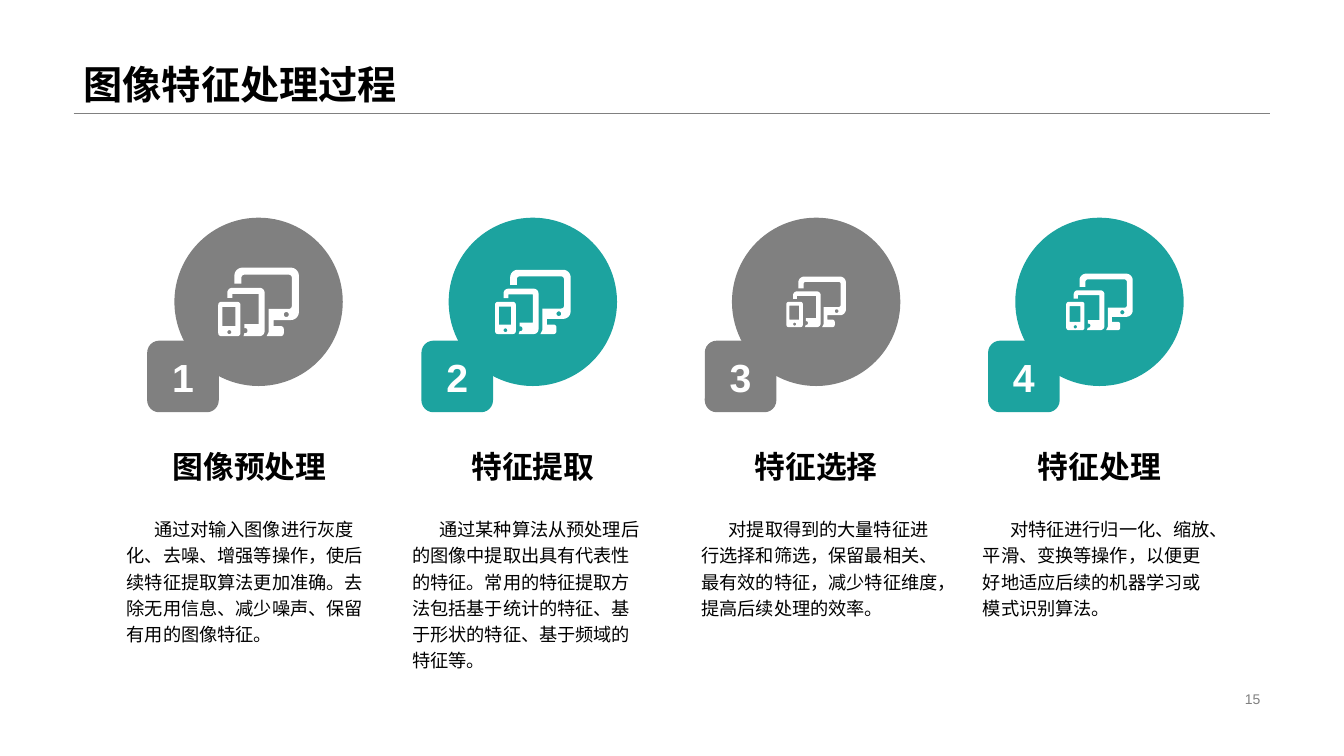
from math import cos, pi, sin

from pptx import Presentation
from pptx.dml.color import RGBColor
from pptx.enum.shapes import MSO_CONNECTOR, MSO_SHAPE
from pptx.enum.text import MSO_ANCHOR, MSO_AUTO_SIZE, PP_ALIGN
from pptx.oxml.ns import qn
from pptx.util import Inches, Pt

OVAL, ROUND = MSO_SHAPE.OVAL, MSO_SHAPE.ROUNDED_RECTANGLE
LINE = MSO_CONNECTOR.STRAIGHT
TOP, MID, LOW = MSO_ANCHOR.TOP, MSO_ANCHOR.MIDDLE, MSO_ANCHOR.BOTTOM
LEFT, MIDDLE, RIGHT = PP_ALIGN.LEFT, PP_ALIGN.CENTER, PP_ALIGN.RIGHT
FIXED = MSO_AUTO_SIZE.NONE

HUES = {"gray": "808080", "teal": "1CA39F", "white": "FFFFFF", "black": "000000"}

# Text formats
TITLE = {"size": 28, "bold": True, "hue": "black", "align": LEFT, "anchor": LOW, "space": 0.9}
HEAD = {"size": 22, "bold": True, "hue": "black", "align": MIDDLE, "anchor": MID, "space": 1}
BODY = {"size": 13, "bold": False, "hue": "black", "align": LEFT, "anchor": TOP, "space": 1.2}
MARK = {"size": 28, "bold": True, "hue": "white", "align": MIDDLE, "anchor": MID, "space": 1}
PAGE = {"size": 10, "bold": False, "hue": "gray", "align": RIGHT, "anchor": MID, "space": 1}

# Grid in inches
SIDE, SPAN, RULE = 0.73, 11.87, 1.12
START, PITCH, COL = 1.23, 2.81, 2.49
DISC, DISC_TOP = 1.67, 2.16
BADGE, BADGE_TOP, BADGE_IN = 0.71, 3.38, 0.27
HEAD_TOP, BODY_TOP, INDENT = 4.41, 5.05, 0.27

# Each step: heading, body, hue, disc shift, icon width, body left, width, height
STEPS = [
    ("图像预处理",
     "通过对输入图像进行灰度化、去噪、增强等操作，使后续特征提取算法更加准确。"
     "去除无用信息、减少噪声、保留有用的图像特征。",
     "gray", 0.5, 0.8, 1.16, 2.56, 1.7),
    ("特征提取",
     "通过某种算法从预处理后的图像中提取出具有代表性的特征。"
     "常用的特征提取方法包括基于统计的特征、基于形状的特征、基于频域的特征等。",
     "teal", 0.41, 0.75, 3.99, COL, 0.83),
    ("特征选择",
     "对提取得到的大量特征进行选择和筛选，保留最相关、最有效的特征，"
     "减少特征维度，提高后续处理的效率。",
     "gray", 0.41, 0.59, 6.86, 2.56, 0.83),
    ("特征处理",
     "对特征进行归一化、缩放、平滑、变换等操作，"
     "以便更好地适应后续的机器学习或模式识别算法。",
     "teal", 0.41, 0.66, 9.65, COL, 0.83),
]


def block(x, y, w, h, r=0):
    return [(x, y, r), (x + w, y, r), (x + w, y + h, r), (x, y + h, r)]


# Icon outlines on an 80 by 68 grid: x, y, corner radius
ICON_W, ICON_H, FINE = 80, 68, 100
ICON = [
    # Phone: case, screen, button
    block(0, 34, 22, 34, 3),
    block(4, 39, 13, 19),
    block(9, 62, 4, 4, 2),
    # Tablet, with its button as a notch
    [(9, 20, 5), (46, 20, 5), (46, 68, 5), (25, 68, 0), (26, 65, 0),
     (29, 65, 2), (29, 60, 2), (26, 60, 0), (26, 56, 0), (40, 56, 0),
     (40, 26, 0), (14, 26, 0), (14, 30, 0), (9, 30, 0)],
    # Monitor with stand, and its button
    [(16, 0, 8), (80, 0, 8), (80, 52, 8), (55, 52, 0), (55, 58, 0),
     (65, 58, 3), (65, 68, 3), (48, 68, 0), (50, 64, 0), (50, 41, 0),
     (73, 41, 3), (73, 7, 3), (23, 7, 3), (23, 16, 0), (16, 16, 0)],
    block(65, 44, 5, 5, 2.5),
]


def color(hue):
    return RGBColor.from_string(HUES[hue])


def box(x, y, w, h):
    return [Inches(v) for v in (x, y, w, h)]


def write(shape, text, form, indent=0):
    frame = shape.text_frame
    para = frame.paragraphs[0]
    run = para.add_run()
    run.text = text
    jobs = {
        frame: {"word_wrap": True, "auto_size": FIXED, "vertical_anchor": form["anchor"]},
        para: {"alignment": form["align"], "line_spacing": form["space"]},
        run.font: {"name": "Arial", "size": Pt(form["size"]), "bold": form["bold"]},
    }
    for item, pairs in jobs.items():
        for key, value in pairs.items():
            setattr(item, key, value)
    run.font.color.rgb = color(form["hue"])
    if indent:
        props = para._p.get_or_add_pPr()
        props.set("marL", "0")
        props.set("indent", str(Inches(indent)))


def label(slide, place, text, form, indent=0):
    write(slide.shapes.add_textbox(*box(*place)), text, form, indent)


def paint(shape, hue):
    shape.shadow.inherit = False
    shape.fill.solid()
    shape.fill.fore_color.rgb = color(hue)
    shape.line.fill.background()
    return shape


def solid(slide, kind, place, hue):
    return paint(slide.shapes.add_shape(kind, *box(*place)), hue)


def toward(a, b, r):
    """Point at distance r from a on the way to b."""
    dx, dy = b[0] - a[0], b[1] - a[1]
    size = (dx * dx + dy * dy) ** 0.5
    return a[0] + dx * r / size, a[1] + dy * r / size


def bend(outline, steps=6):
    """Turn corners with radii into points on quarter arcs."""
    points = []
    for i, spot in enumerate(outline):
        x, y, r = spot
        if not r:
            points.append((x * FINE, y * FINE))
            continue
        sx, sy = toward(spot, outline[i - 1], r)
        ex, ey = toward(spot, outline[(i + 1) % len(outline)], r)
        cx, cy = sx + ex - x, sy + ey - y
        for k in range(steps + 1):
            c, s = cos(k * pi / 2 / steps), sin(k * pi / 2 / steps)
            points.append(((cx + (sx - cx) * c + (ex - cx) * s) * FINE,
                           (cy + (sy - cy) * c + (ey - cy) * s) * FINE))
    return points


def icon(slide, mid_x, mid_y, width):
    rings = [bend(ring) for ring in ICON]
    scale = Inches(width) / (ICON_W * FINE)
    pen = slide.shapes.build_freeform(*rings[0][0], scale=scale)
    for i, ring in enumerate(rings):
        if i:
            pen.move_to(*ring[0])
        pen.add_line_segments(ring[1:], close=True)
    height = width * ICON_H / ICON_W
    paint(pen.convert_to_shape(Inches(mid_x - width / 2), Inches(mid_y - height / 2)), "white")


def rule(slide):
    line = slide.shapes.add_connector(LINE, *box(SIDE, RULE, SIDE + SPAN, RULE))
    line.line.color.rgb = color("gray")
    line.line.width = Pt(0.25)
    props = line._element.spPr
    props.append(props.makeelement(qn("a:effectLst"), {}))


def step(slide, i, data):
    head, body, hue, shift, size, left, width, height = data
    x = START + i * PITCH
    disc = x + shift
    solid(slide, OVAL, (disc, DISC_TOP, DISC, DISC), hue)
    badge = solid(slide, ROUND, (disc - BADGE_IN, BADGE_TOP, BADGE, BADGE), hue)
    write(badge, str(i + 1), MARK)
    icon(slide, disc + DISC / 2, DISC_TOP + DISC / 2, size)
    label(slide, (x, HEAD_TOP, COL, 0.44), head, HEAD)
    label(slide, (left, BODY_TOP, width, height), body, BODY, INDENT)


def main():
    deck = Presentation()
    deck.slide_width, deck.slide_height = Inches(13.33), Inches(7.5)
    slide = deck.slides.add_slide(deck.slide_layouts[5])

    # Title, rule and page number
    title = slide.shapes.title
    title.left, title.top, title.width, title.height = box(SIDE, 0, SPAN, RULE)
    write(title, "图像特征处理过程", TITLE)
    rule(slide)
    label(slide, (9.42, 6.82, 3.18, 0.23), "15", PAGE)

    # Four steps
    for i, data in enumerate(STEPS):
        step(slide, i, data)
    deck.save("out.pptx")


if __name__ == "__main__":
    main()
